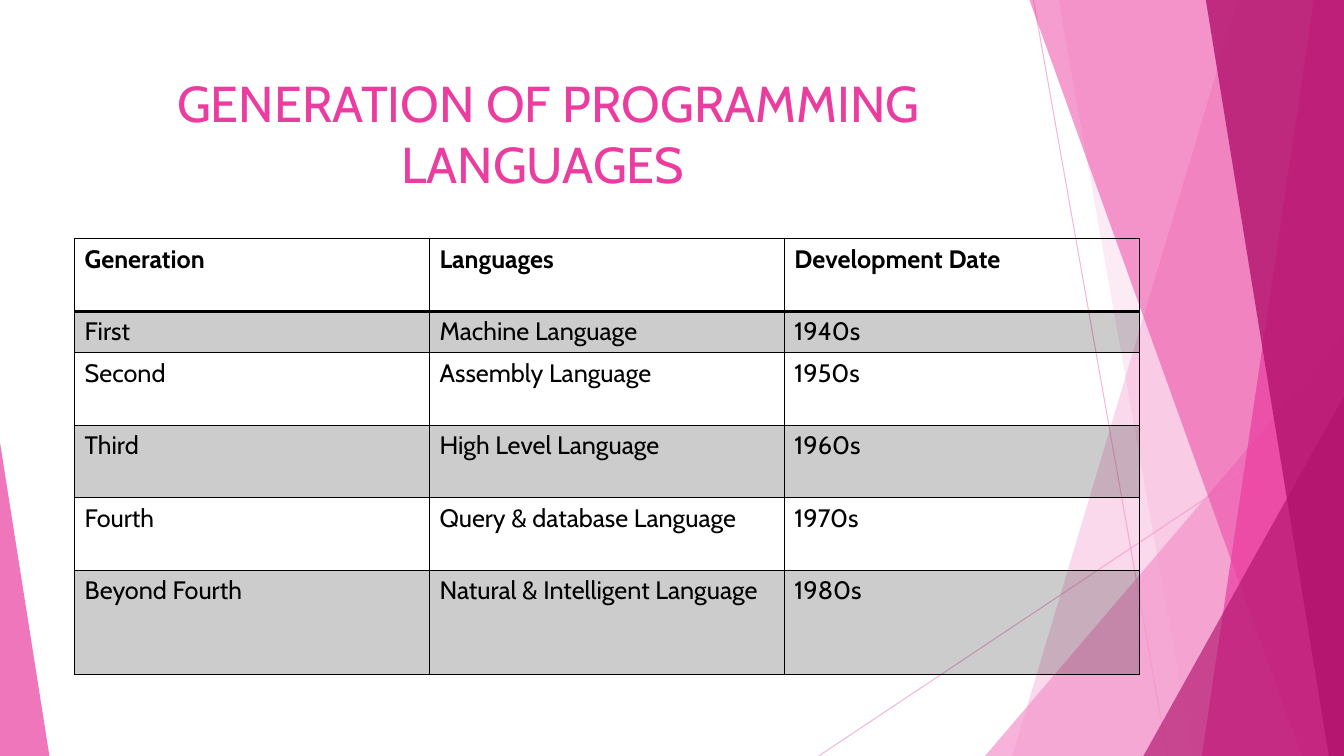
from lxml import etree
from pptx import Presentation
from pptx.dml.color import RGBColor
from pptx.enum.shapes import MSO_CONNECTOR, MSO_SHAPE
from pptx.enum.text import MSO_ANCHOR, PP_ALIGN
from pptx.oxml.ns import qn
from pptx.util import Inches, Pt

LINE = MSO_CONNECTOR.STRAIGHT
TRIANGLE = MSO_SHAPE.ISOSCELES_TRIANGLE
TOP, CENTER = MSO_ANCHOR.TOP, PP_ALIGN.CENTER
FONT = "Cabin"
WIDE, HIGH = 13.33, 7.5
COLORS = {"light": "F496CB", "pink": "EB3D9F", "deep": "B2136D", "ink": "000000"}
ROWS = [
    ("Generation", "Languages", "Development Date"),
    ("First", "Machine Language", "1940s"),
    ("Second", "Assembly Language", "1950s"),
    ("Third", "High Level Language", "1960s"),
    ("Fourth", "Query & database Language", "1970s"),
    ("Beyond Fourth", "Natural & Intelligent Language", "1980s"),
]
HEIGHTS = [0.72, 0.41, 0.72, 0.72, 0.72, 1.03]


def paint(fill, name, alpha):
    """Fill with a named colour at a given opacity in percent."""
    fill.solid()
    fill.fore_color.rgb = RGBColor.from_string(COLORS[name])
    node = fill._xPr.find(qn("a:solidFill"))[0]
    etree.SubElement(node, qn("a:alpha"), val=str(alpha * 1000))


def write(par, text, size, name, bold=False):
    run = par.add_run()
    run.text = text
    font = run.font
    font.name, font.size, font.bold = FONT, Pt(size), bold
    font.color.rgb = RGBColor.from_string(COLORS[name])


def finish(shape, name, alpha):
    paint(shape.fill, name, alpha)
    shape.line.fill.background()
    shape.shadow.inherit = False


def add_ray(slide, start, end):
    ray = slide.shapes.add_connector(LINE, *map(Inches, start + end))
    ray.line.width = Pt(0.75)
    paint(ray.line.fill, "light", 70)
    etree.SubElement(ray._element.spPr, qn("a:effectLst"))


def add_band(slide, box, head, foot, name, alpha):
    """Draw a band from its left edge (head to foot) to the right of the box."""
    left, top, width, height = box
    right, low = left + width, top + height
    spots = [(head, top), (right, top), (right, low), (foot, low)]
    pts = [(Inches(x), Inches(y)) for x, y in spots]
    form = slide.shapes.build_freeform(*pts[0], scale=1)
    form.add_line_segments(pts[1:], close=True)
    finish(form.convert_to_shape(), name, alpha)


def add_wedge(slide, box, tip, name, alpha):
    wedge = slide.shapes.add_shape(TRIANGLE, *map(Inches, box))
    wedge.adjustments[0] = tip
    finish(wedge, name, alpha)


def add_decor(slide, box):
    left, top, width, height = box
    right, low = left + width, top + height

    def corner(wide, high):
        return right - wide, low - high, wide, high

    add_ray(slide, (10.25, top), (11.58, low))
    add_ray(slide, (right, 4.03), (8.12, low))
    add_band(slide, box, 12.28, 10.04, "light", 36)
    add_band(slide, box, 10.5, 11.83, "light", 20)
    add_wedge(slide, corner(3.56, 4.17), 1, "light", 72)
    add_band(slide, box, 10.21, 12.91, "pink", 50)
    add_band(slide, box, 13.03, 11.92, "pink", 70)
    add_band(slide, box, 11.96, 13.18, "deep", 80)
    add_wedge(slide, corner(1.99, 3.57), 1, "deep", 66)
    add_wedge(slide, (left, low - 3.11, 0.49, 3.11), 0, "pink", 70)


def add_title(slide, box):
    frame = slide.shapes.add_textbox(*map(Inches, box)).text_frame
    frame.word_wrap = True
    frame.vertical_anchor = TOP
    par = frame.paragraphs[0]
    par.alignment = CENTER
    write(par, "GENERATION OF PROGRAMMING LANGUAGES ", 36, "pink")


def add_edges(cell, head):
    """Rule all four sides, with a heavier line below the header."""
    props = cell._tc.get_or_add_tcPr()
    for spot, side in enumerate("LRTB"):
        width = Pt(2 if head and side == "B" else 1)
        edge = etree.Element(qn("a:ln" + side), w=str(width))
        fill = etree.SubElement(edge, qn("a:solidFill"))
        etree.SubElement(fill, qn("a:srgbClr"), val=COLORS["ink"])
        props.insert(spot, edge)


def add_grid(slide, box):
    frame = slide.shapes.add_table(len(ROWS), len(ROWS[0]), *map(Inches, box))
    table = frame.table
    table.first_row = table.horz_banding = False
    for col in table.columns:
        col.width = Inches(box[2] / len(ROWS[0]))
    for r, (texts, high) in enumerate(zip(ROWS, HEIGHTS)):
        table.rows[r].height = Inches(high)
        for c, text in enumerate(texts):
            cell = table.cell(r, c)
            write(cell.text_frame.paragraphs[0], text, 18, "ink", r == 0)
            if r % 2:
                paint(cell.fill, "ink", 20)
            else:
                cell.fill.background()
            add_edges(cell, r == 0)


def main():
    deck = Presentation()
    deck.slide_width, deck.slide_height = Inches(WIDE), Inches(HIGH)
    slide = deck.slides.add_slide(deck.slide_layouts[6])
    add_decor(slide, (0, 0, WIDE, HIGH))
    add_title(slide, (0.74, 0.67, 9.4, 1.44))
    add_grid(slide, (0.74, 2.37, 10.56, sum(HEIGHTS)))
    deck.save("out.pptx")


if __name__ == "__main__":
    main()
